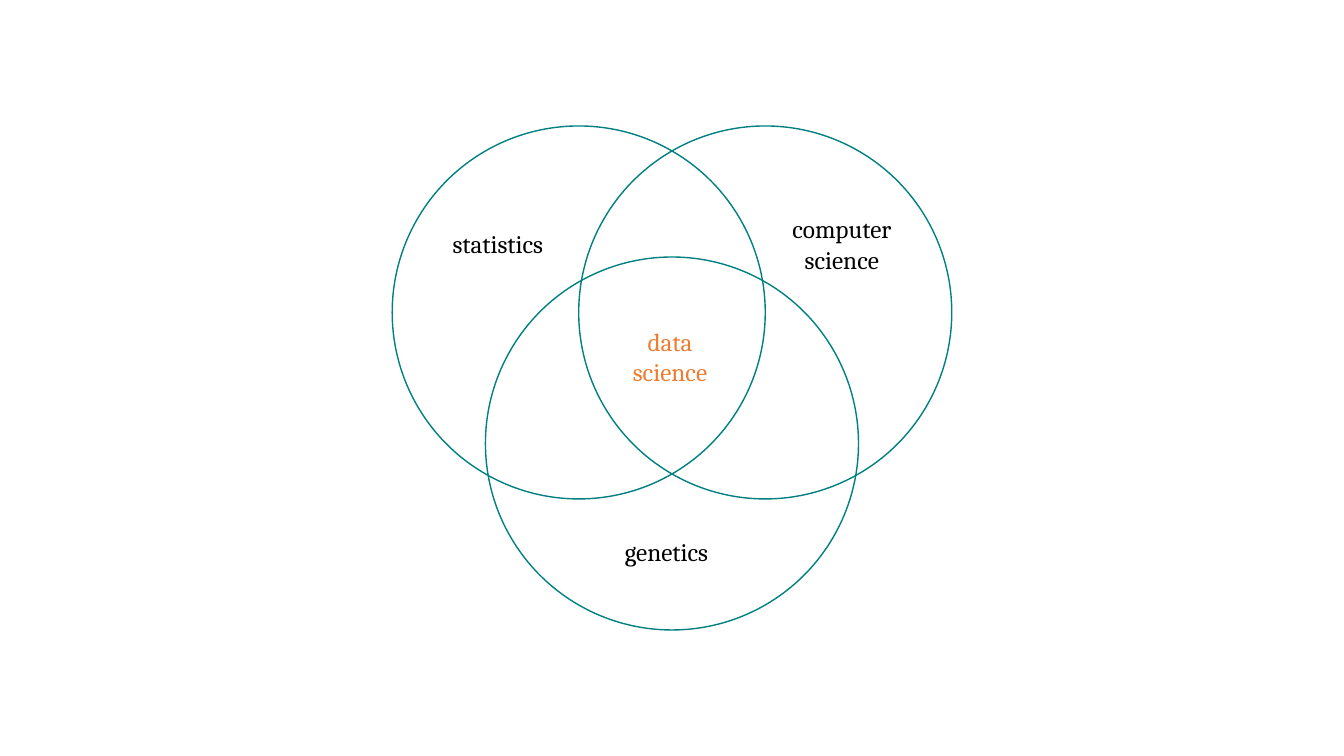
from dataclasses import dataclass

from pptx import Presentation
from pptx import util as u
from pptx.dml.color import RGBColor
from pptx.enum import shapes, text


@dataclass(frozen=True)
class Theme:
    outline: RGBColor = RGBColor(0x00, 0x80, 0x80)
    label: RGBColor = RGBColor(0x00, 0x00, 0x00)
    accent: RGBColor = RGBColor(0xED, 0x7D, 0x31)
    font: str = "Cambria"
    label_size: int = 18
    outline_width: int = 1


THEME = Theme()
DIAMETER = 3.7
LEFT, TOP = 3.89, 1.25
DROP = 1.3


def add_circle(slide, left, top):
    shape = slide.shapes.add_shape(
        shapes.MSO_SHAPE.OVAL,
        u.Inches(left), u.Inches(top), u.Inches(DIAMETER), u.Inches(DIAMETER),
    )
    shape.shadow.inherit = False
    shape.fill.background()
    shape.line.color.rgb = THEME.outline
    shape.line.width = u.Pt(THEME.outline_width)


def add_label(slide, lines, left, top, width, height,
              color=THEME.label, align=text.PP_ALIGN.LEFT):
    shape = slide.shapes.add_textbox(
        u.Inches(left), u.Inches(top), u.Inches(width), u.Inches(height)
    )
    frame = shape.text_frame
    frame.word_wrap = True
    frame.auto_size = text.MSO_AUTO_SIZE.SHAPE_TO_FIT_TEXT
    frame.text = lines
    for paragraph in frame.paragraphs:
        paragraph.alignment = align
        font = paragraph.runs[0].font
        font.name = THEME.font
        font.size = u.Pt(THEME.label_size)
        font.color.rgb = color


def main():
    presentation = Presentation()
    presentation.slide_width = u.Inches(13.33)
    presentation.slide_height = u.Inches(7.5)
    slide = presentation.slides.add_slide(presentation.slide_layouts[6])

    radius = DIAMETER / 2
    add_circle(slide, LEFT, TOP)
    add_circle(slide, LEFT + radius, TOP)
    add_circle(slide, LEFT + radius / 2, TOP + DROP)

    center = text.PP_ALIGN.CENTER
    add_label(slide, "statistics", 4.39, 2.22, 1.45, 0.4)
    add_label(slide, "computer\nscience", 7.62, 2.07, 1.46, 0.71, align=center)
    add_label(slide, "genetics", 6.1, 5.27, 1.96, 0.4)
    add_label(slide, "data science", 6.1, 3.19, 1.09, 0.71,
              color=THEME.accent, align=center)

    presentation.save("out.pptx")


if __name__ == "__main__":
    main()
